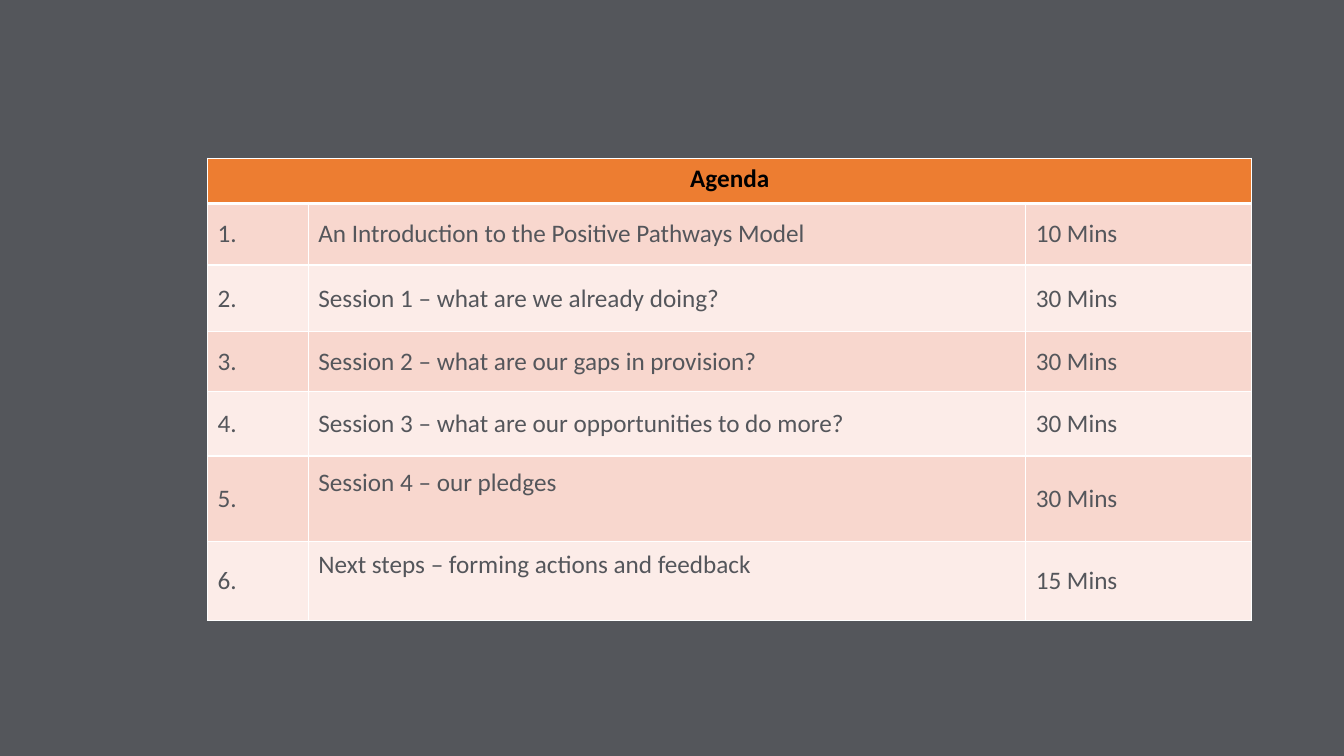
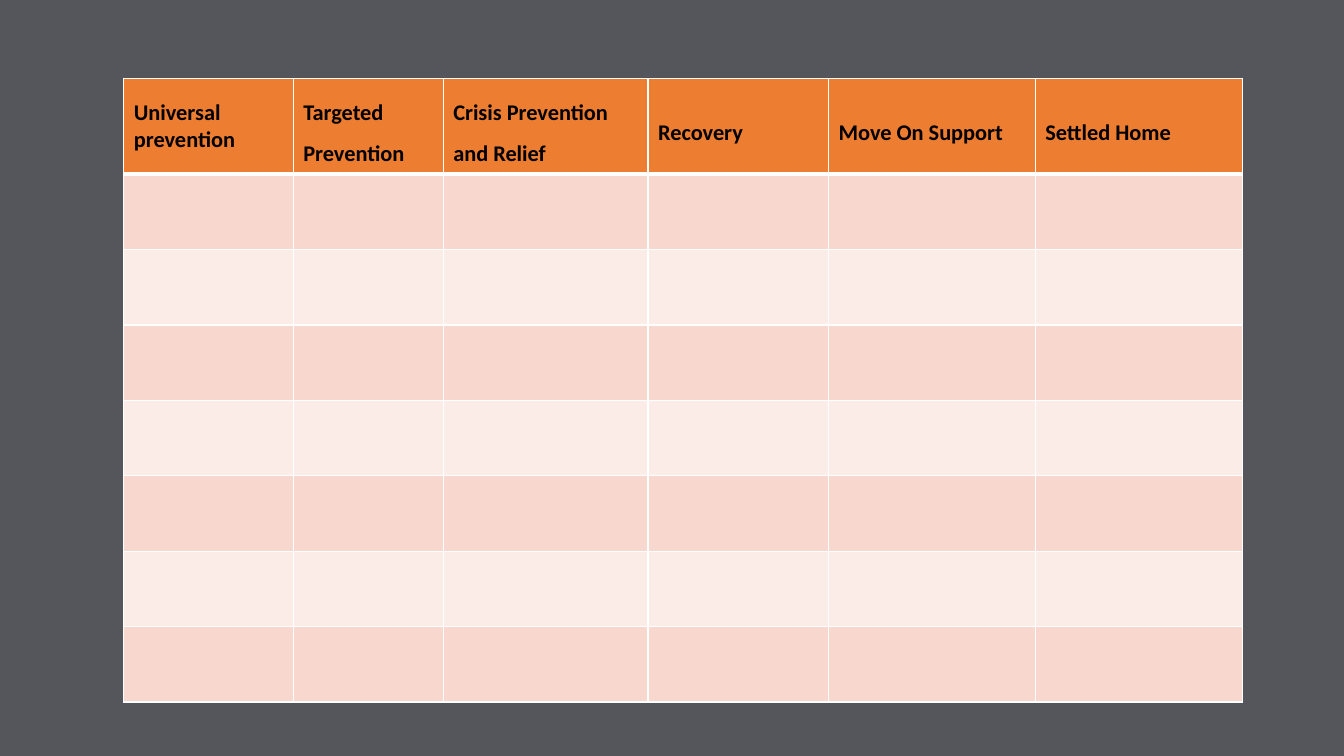
from dataclasses import dataclass

from lxml import etree
from pptx import Presentation
from pptx import util as u
from pptx.dml.color import RGBColor
from pptx.enum import text
from pptx.oxml.ns import qn


@dataclass(frozen=True)
class Theme:
    font: str = "Calibri"
    background: str = "54565B"
    header_fill: str = "ED7D31"
    bands: tuple = ("F8D7CE", "FCECE8")
    header_text: str = "000000"
    body_text: str = "54565B"
    border: str = "FFFFFF"
    thin: float = 1
    thick: float = 3
    agenda_size: int = 18
    pathway_size: int = 16


THEME = Theme()

AGENDA = [
    ("An Introduction to the Positive Pathways Model", "10 Mins"),
    ("Session 1 – what are we already doing?", "30 Mins"),
    ("Session 2 – what are our gaps in provision?", "30 Mins"),
    ("Session 3 – what are our opportunities to do more?", "30 Mins"),
    ("Session 4 – our pledges", "30 Mins"),
    ("Next steps – forming actions and feedback", "15 Mins"),
]
STAGES = ["Universal prevention", "Targeted Prevention", "Crisis Prevention and Relief",
          "Recovery", "Move On Support", "Settled Home"]
BLANK_ROWS = 7


def add_page(deck):
    page = deck.slides.add_slide(deck.slide_layouts[6])
    fill = page.background.fill
    fill.solid()
    fill.fore_color.rgb = RGBColor.from_string(THEME.background)
    return page


def set_borders(cell, top, bottom):
    """Insert the four edge lines ahead of the cell's fill."""
    properties = cell._tc.get_or_add_tcPr()
    widths = {"a:lnL": THEME.thin, "a:lnR": THEME.thin, "a:lnT": top, "a:lnB": bottom}
    for index, (tag, width) in enumerate(widths.items()):
        line = etree.Element(qn(tag), w=str(u.Pt(width)))
        fill = etree.SubElement(line, qn("a:solidFill"))
        etree.SubElement(fill, qn("a:srgbClr"), val=THEME.border)
        properties.insert(index, line)


def add_banded_table(page, left, top, widths, heights):
    """Add a table with a header row and alternating body rows."""
    frame = page.shapes.add_table(len(heights), len(widths), u.Cm(left), u.Cm(top),
                                  u.Cm(sum(widths)), u.Cm(sum(heights)))
    table = frame.table
    table.first_row = table.horz_banding = False
    for column, width in zip(table.columns, widths):
        column.width = u.Cm(width)
    for index, (row, height) in enumerate(zip(table.rows, heights)):
        row.height = u.Cm(height)
        color = THEME.bands[(index - 1) % 2] if index else THEME.header_fill
        for cell in row.cells:
            cell.fill.solid()
            cell.fill.fore_color.rgb = RGBColor.from_string(color)
            cell.vertical_anchor = text.MSO_ANCHOR.MIDDLE
            set_borders(cell, THEME.thick if index == 1 else THEME.thin,
                        THEME.thin if index else THEME.thick)
    return table


def write_cell(cell, words, size, header=False):
    para = cell.text_frame.paragraphs[0]
    span = para.add_run()
    span.text = words
    span.font.name = THEME.font
    span.font.size = u.Pt(size)
    span.font.bold = header
    color = THEME.header_text if header else THEME.body_text
    span.font.color.rgb = RGBColor.from_string(color)
    return para


def build_agenda(deck):
    table = add_banded_table(add_page(deck), 5.23, 3.99, (2.54, 18.08, 5.7),
                             (1.14, 1.55, 1.68, 1.5, 1.63, 2.16, 1.98))
    # Header across all columns
    header = table.cell(0, 0)
    header.merge(table.cell(0, 2))
    header.vertical_anchor = text.MSO_ANCHOR.TOP
    write_cell(header, "Agenda", THEME.agenda_size, True).alignment = text.PP_ALIGN.CENTER
    # Numbered sessions
    for number, (session, duration) in enumerate(AGENDA, 1):
        for column, words in enumerate((f"{number}.", session, duration)):
            write_cell(table.cell(number, column), words, THEME.agenda_size)
    # The last two sessions sit above the middle of their rows
    for number in (5, 6):
        table.cell(number, 1).margin_bottom = u.Cm(0.92)


def build_pathway(deck):
    table = add_banded_table(add_page(deck), 3.12, 1.98,
                             (4.27, 3.78, 5.16, 4.55, 5.21, 5.23),
                             [2.41] + [1.9] * BLANK_ROWS)
    # Stage headings; only the first has single spacing
    for column, stage in enumerate(STAGES):
        para = write_cell(table.cell(0, column), stage, THEME.pathway_size, True)
        para.line_spacing = 1.5 if column else 1.0


def main():
    deck = Presentation()
    deck.slide_width, deck.slide_height = u.Cm(33.87), u.Cm(19.05)
    build_agenda(deck)
    build_pathway(deck)
    deck.save("out.pptx")


if __name__ == "__main__":
    main()
